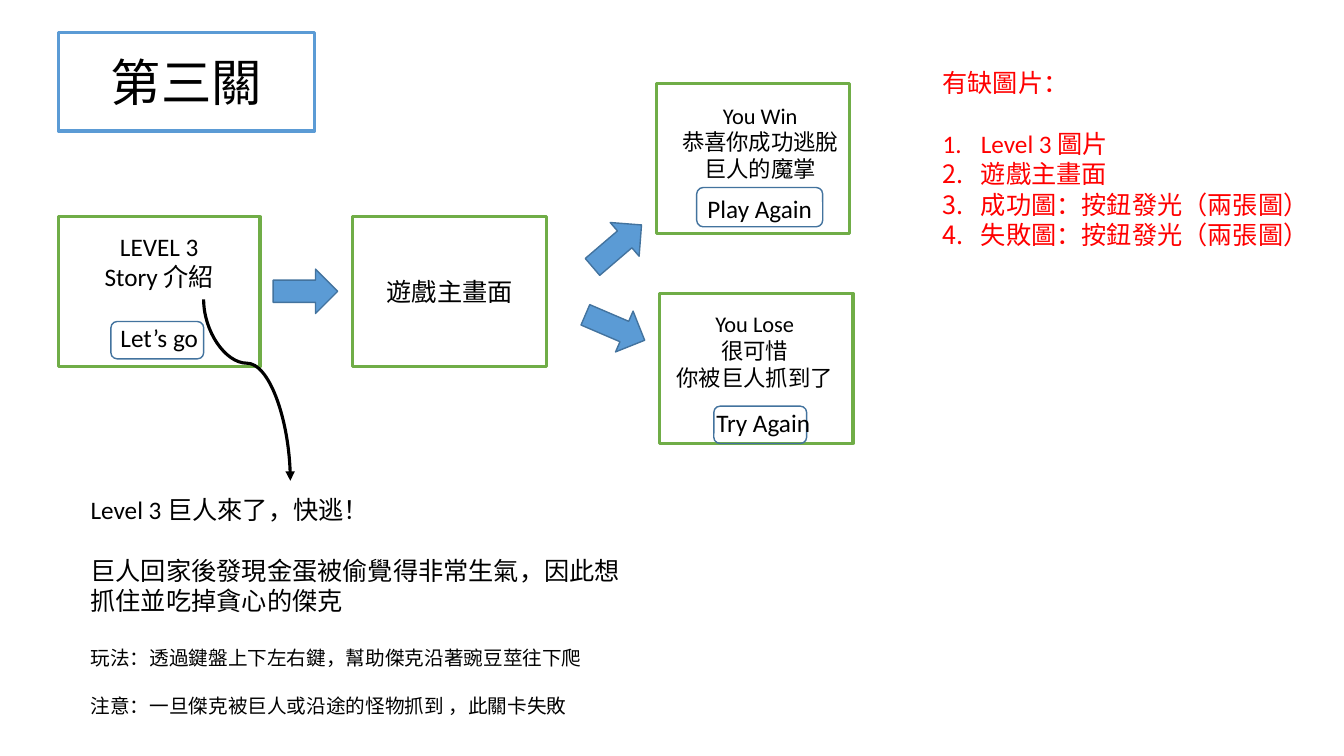
from dataclasses import dataclass
from typing import Optional

from lxml import etree
from pptx import Presentation
from pptx.dml.color import RGBColor
from pptx.enum import shapes, text
from pptx.oxml.ns import qn
from pptx.util import Emu, Pt

PX = 9144  # one px is a hundredth of an inch
BLACK, WHITE, RED = "000000", "FFFFFF", "FF0000"
BLUE, NAVY, GREEN = "5B9BD5", "43739E", "70AD47"
FONT = "Calibri"
Kind = shapes.MSO_SHAPE


@dataclass
class Line:
    words: str
    size: int = 18
    before: int = 0
    numbered: bool = False


@dataclass
class Block:
    x: int
    y: int
    w: int
    h: int
    kind: Kind = Kind.RECTANGLE
    fill: Optional[str] = WHITE
    edge: str = GREEN
    weight: float = 2.25
    turn: float = 0
    lines: tuple[Line, ...] = ()


@dataclass
class Note:
    x: int
    y: int
    w: int
    h: int
    lines: tuple[Line, ...]
    color: str = BLACK
    centred: bool = False
    wrap: bool = True


def px(value: int) -> Emu:
    return Emu(value * PX)


def rgb(value: str) -> RGBColor:
    return RGBColor.from_string(value)


def arrow(x: int, y: int, turn: float = 0) -> Block:
    return Block(x, y, 64, 44, Kind.RIGHT_ARROW, BLUE, NAVY, 1, turn)


def button(x: int, y: int, w: int, h: int) -> Block:
    return Block(x, y, w, h, Kind.ROUNDED_RECTANGLE, None, NAVY, 1)


def write(frame, lines: tuple[Line, ...], color: str, centred: bool) -> None:
    frame.text = "\n".join(line.words for line in lines)
    for para, line in zip(frame.paragraphs, lines):
        para.alignment = text.PP_ALIGN.CENTER if centred else text.PP_ALIGN.LEFT
        if line.before:
            para.space_before = Pt(line.before)
        if line.numbered:
            props = para._p.get_or_add_pPr()
            props.set("marL", str(px(38)))
            props.set("indent", str(-px(38)))
            etree.SubElement(props, qn("a:buFont"), typeface="+mj-lt")
            etree.SubElement(props, qn("a:buAutoNum"), type="arabicPeriod")
        for span in para.runs:
            span.font.name = FONT
            span.font.size = Pt(line.size)
            span.font.color.rgb = rgb(color)


def draw_block(page, block: Block) -> None:
    box = page.shapes.add_shape(block.kind, px(block.x), px(block.y), px(block.w), px(block.h))
    box.shadow.inherit = False
    box.rotation = block.turn
    if block.fill:
        box.fill.solid()
        box.fill.fore_color.rgb = rgb(block.fill)
    else:
        box.fill.background()
    box.line.color.rgb = rgb(block.edge)
    box.line.width = Pt(block.weight)
    if block.lines:
        box.text_frame.vertical_anchor = text.MSO_ANCHOR.MIDDLE
        write(box.text_frame, block.lines, BLACK, True)


def draw_note(page, note: Note) -> None:
    box = page.shapes.add_textbox(px(note.x), px(note.y), px(note.w), px(note.h))
    box.text_frame.word_wrap = note.wrap
    box.text_frame.auto_size = text.MSO_AUTO_SIZE.SHAPE_TO_FIT_TEXT
    write(box.text_frame, note.lines, note.color, note.centred)


def draw_story_curve(page) -> None:
    # The frame lies on its side: a quarter turn makes the curve run downwards
    curve = page.shapes.add_connector(
        shapes.MSO_CONNECTOR.CURVE, px(335), px(344), px(155), px(430))
    curve.line.color.rgb = rgb(BLACK)
    curve.line.width = Pt(2.25)
    props = curve._element.spPr
    props.find(qn("a:xfrm")).set("rot", str(270 * 60000))
    guides = props.find(qn("a:prstGeom")).get_or_add_avLst()
    etree.SubElement(guides, qn("a:gd"), name="adj1", fmla="val 35200")
    etree.SubElement(props.find(qn("a:ln")), qn("a:tailEnd"), type="triangle")
    etree.SubElement(props, qn("a:effectLst"))


BLOCKS = [
    # Title
    Block(58, 32, 254, 98, edge=BLUE, lines=(Line("第三關", 36),)),
    # Screens
    Block(58, 215, 200, 149, lines=(
        Line("LEVEL 3"), Line("Story 介紹"), Line("Let’s go", before=22))),
    Block(350, 215, 192, 149, lines=(Line("遊戲主畫面"),)),
    Block(651, 83, 192, 149),
    Block(654, 291, 192, 149),
    # Arrows between screens
    arrow(271, 267),
    arrow(578, 303, 23.2),
    arrow(580, 222, 319.4),
    # Buttons
    button(110, 319, 92, 37),
    button(691, 186, 125, 39),
    button(708, 403, 92, 37),
]

NOTES = [
    # Missing artwork
    Note(925, 62, 396, 222, color=RED, lines=(
        Line("有缺圖片："),
        Line("Level 3 圖片", before=22, numbered=True),
        Line("遊戲主畫面", numbered=True),
        Line("成功圖：按鈕發光（兩張圖）", numbered=True),
        Line("失敗圖：按鈕發光（兩張圖）", numbered=True))),
    # Story and rules
    Note(80, 485, 548, 232, lines=(
        Line("Level 3 巨人來了，快逃！"),
        Line("巨人回家後發現金蛋被偷覺得非常生氣，因此想抓住並吃掉貪心的傑克", before=22),
        Line("玩法：透過鍵盤上下左右鍵，幫助傑克沿著豌豆莖往下爬", 14, 22),
        Line("注意：一旦傑克被巨人或沿途的怪物抓到 ，此關卡失敗", 14, 17))),
    # Button labels
    Note(691, 187, 125, 40, (Line("Play Again"),), centred=True, wrap=False),
    Note(700, 399, 114, 40, (Line("Try Again"),), centred=True, wrap=False),
    # Outcomes
    Note(622, 96, 264, 91, centred=True, lines=(
        Line("You Win", 16), Line("恭喜你成功逃脫", 16), Line("巨人的魔掌", 16))),
    Note(636, 303, 225, 91, centred=True, lines=(
        Line("You Lose", 16), Line("很可惜", 16), Line("你被巨人抓到了", 16))),
]


def main() -> None:
    deck = Presentation()
    deck.slide_width, deck.slide_height = px(1333), px(750)
    page = deck.slides.add_slide(deck.slide_layouts[6])
    for block in BLOCKS:
        draw_block(page, block)
    draw_story_curve(page)
    for note in NOTES:
        draw_note(page, note)
    deck.save("out.pptx")


if __name__ == "__main__":
    main()
